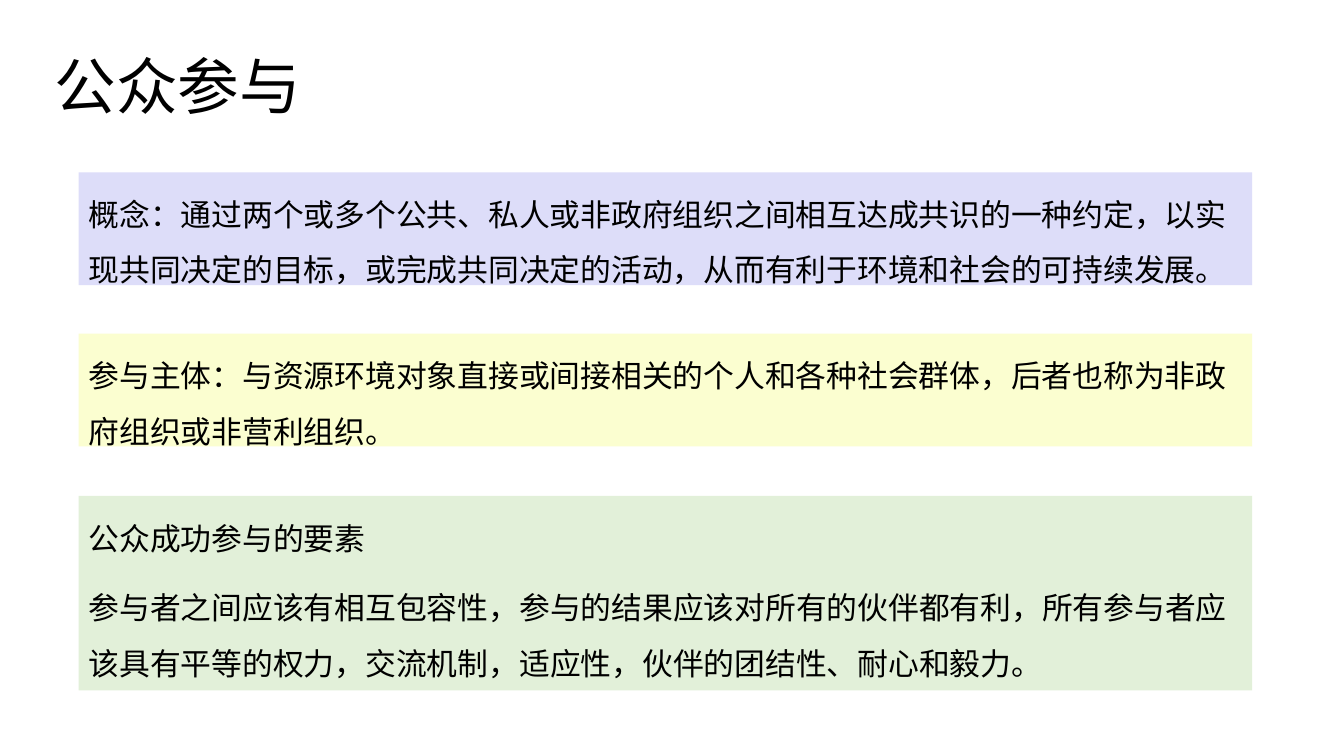
import pptx
import pptx.dml.color
import pptx.enum.shapes
import pptx.enum.text
import pptx.oxml
import pptx.oxml.ns
import pptx.util

Inches = pptx.util.Inches
FONT = "Noto Sans CJK SC"
LEFT, WIDTH = 0.78, 11.64

TITLE = "公众参与"
CONCEPT = ("概念：通过两个或多个公共、私人或非政府组织之间相互达成共识的一种约定，"
           "以实现共同决定的目标，或完成共同决定的活动，从而有利于环境和社会的可持续发展。")
ACTORS = ("参与主体：与资源环境对象直接或间接相关的个人和各种社会群体，"
          "后者也称为非政府组织或非营利组织。")
FACTORS = [
    "公众成功参与的要素",
    "参与者之间应该有相互包容性，参与的结果应该对所有的伙伴都有利，"
    "所有参与者应该具有平等的权力，交流机制，适应性，伙伴的团结性、耐心和毅力。",
]


def color(code):
    return pptx.dml.color.RGBColor.from_string(code)


def place(shape, box):
    shape.left, shape.top, shape.width, shape.height = map(Inches, box)


def write(shape, lines, size=22, spacing=1.5, gap=0, anchor="TOP", ink="000000"):
    frame = shape.text_frame
    frame.word_wrap = True
    frame.auto_size = pptx.enum.text.MSO_AUTO_SIZE.NONE
    frame.vertical_anchor = pptx.enum.text.MSO_ANCHOR[anchor]
    for i, line in enumerate(lines):
        para = frame.add_paragraph() if i else frame.paragraphs[0]
        # No bullet or indent
        props = para._p.get_or_add_pPr()
        props.set("marL", "0")
        props.set("indent", "0")
        pptx.oxml.ns.qn("a:buNone")
        props.append(pptx.oxml.parse_xml(
            "<a:buNone %s/>" % pptx.oxml.ns.nsdecls("a")))
        para.alignment = pptx.enum.text.PP_ALIGN.LEFT
        para.line_spacing = spacing
        para.space_before = pptx.util.Pt(gap if i else 0)
        run = para.add_run()
        run.text = line
        run.font.size = pptx.util.Pt(size)
        run.font.color.rgb = color(ink)
        run.font.name = FONT
        # Same face for Chinese text
        run.font._element.append(pptx.oxml.parse_xml(
            '<a:ea %s typeface="%s"/>' % (pptx.oxml.ns.nsdecls("a"), FONT)))


def head(slide, box):
    title = slide.shapes.title
    place(title, box)
    write(title, [TITLE], size=44, spacing=0.9, anchor="MIDDLE")


def panel(slide, box, text, fill):
    shape = slide.shapes.add_shape(
        pptx.enum.shapes.MSO_SHAPE.RECTANGLE, *map(Inches, box))
    shape.shadow.inherit = False
    shape.fill.solid()
    shape.fill.fore_color.rgb = color(fill)
    shape.line.fill.background()
    write(shape, [text])


def body(slide, box, lines, fill):
    shape = slide.placeholders[1]
    place(shape, box)
    shape.fill.solid()
    shape.fill.fore_color.rgb = color(fill)
    write(shape, lines, gap=10)


def main():
    deck = pptx.Presentation()
    deck.slide_width, deck.slide_height = Inches(13.33), Inches(7.5)
    slide = deck.slides.add_slide(deck.slide_layouts[1])

    # Title
    head(slide, (0.44, 0.16, 11.5, 1.45))
    # Success factors
    body(slide, (LEFT, 4.92, WIDTH, 1.93), FACTORS, "E2F0D9")
    # Concept and actors
    for top, text, fill in ((1.71, CONCEPT, "DDDDF9"), (3.31, ACTORS, "FBFED0")):
        panel(slide, (LEFT, top, WIDTH, 1.12), text, fill)

    deck.save("out.pptx")


if __name__ == "__main__":
    main()
